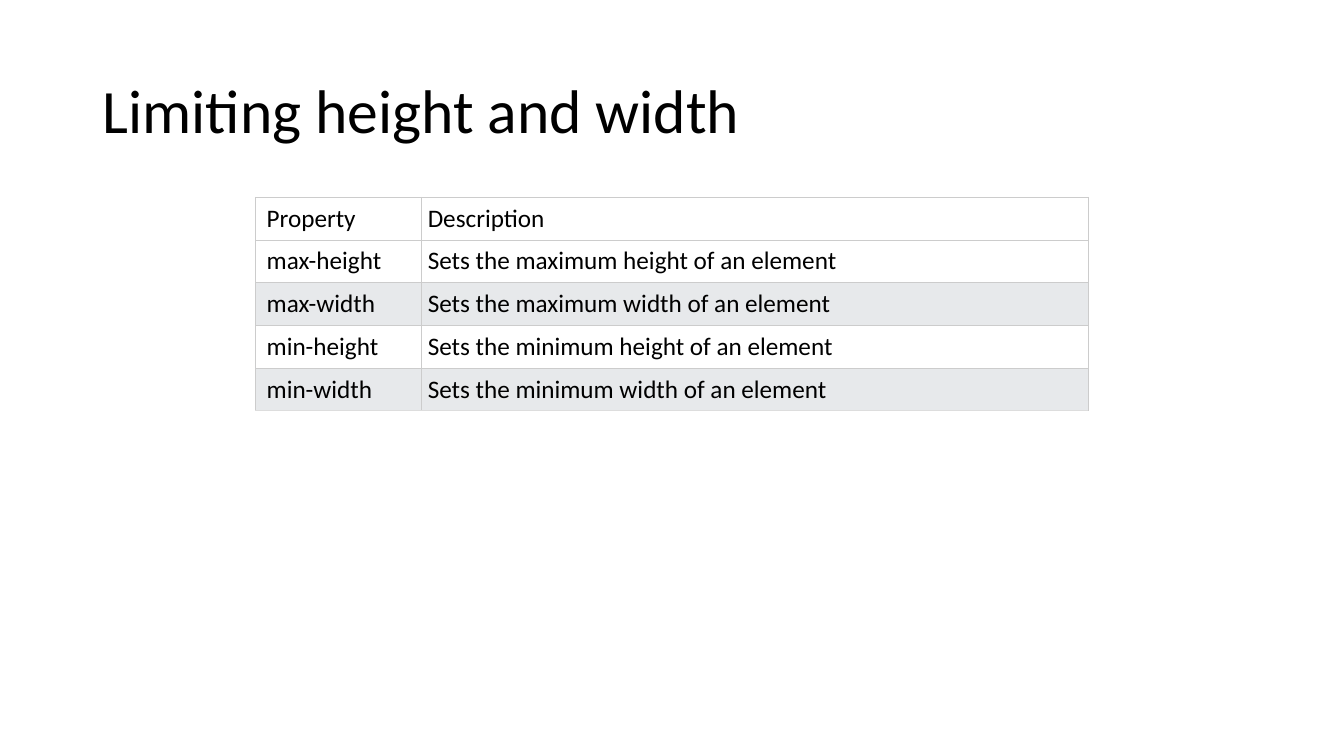
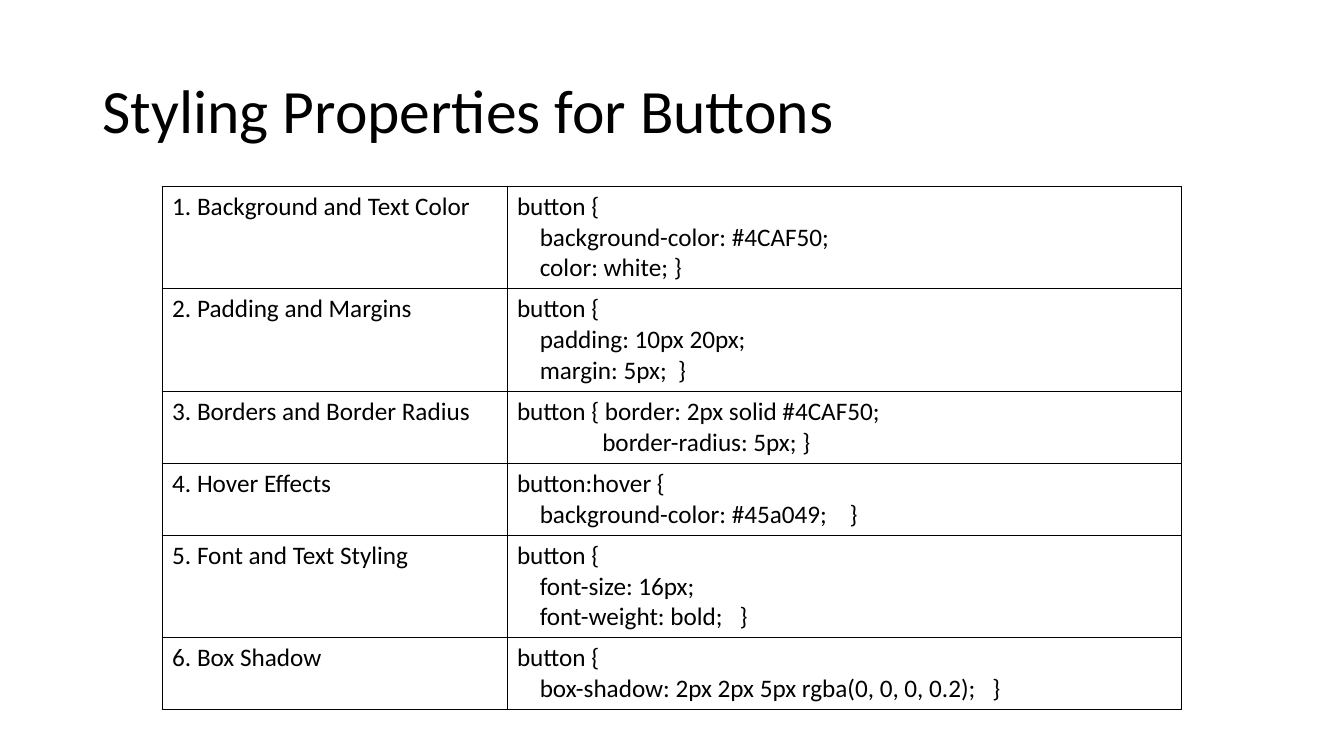
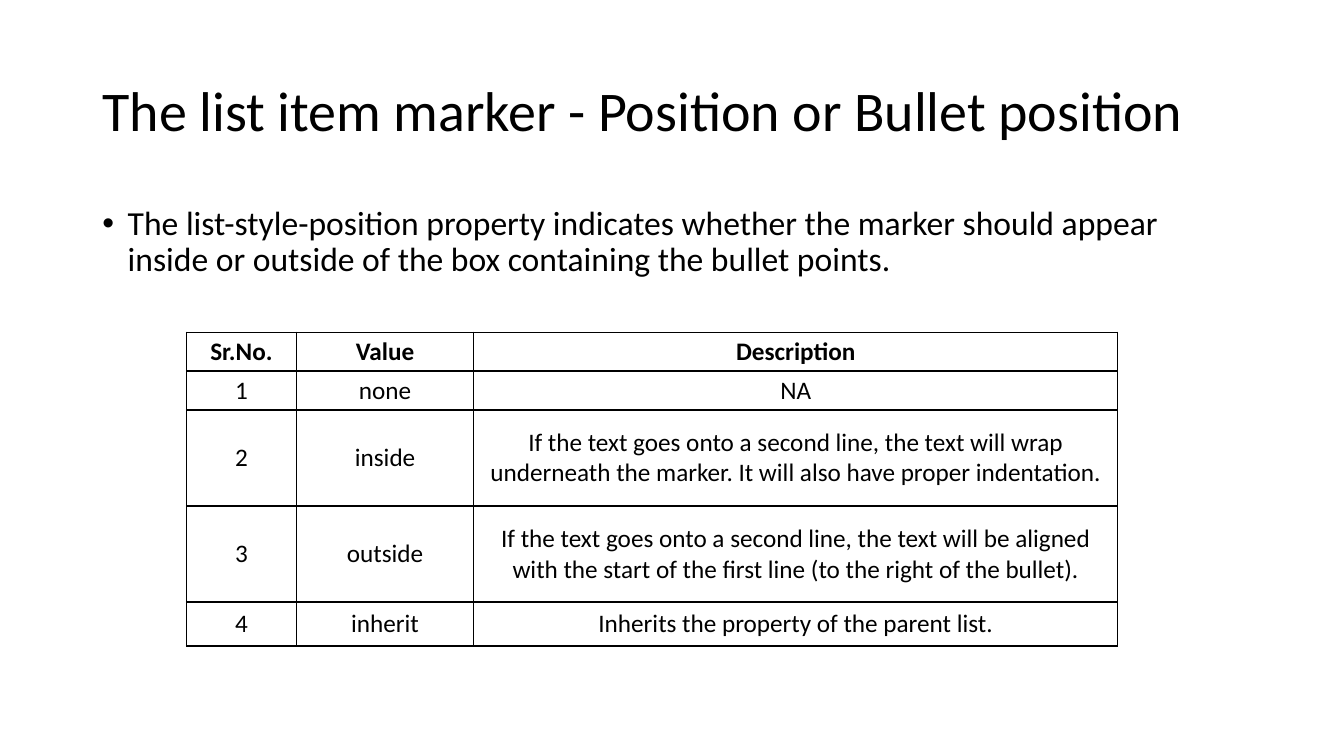
import dataclasses
import typing

import lxml.etree
import pptx
import pptx.dml.color
import pptx.enum.text
import pptx.oxml.ns
import pptx.presentation
import pptx.slide
import pptx.table
import pptx.text.text
import pptx.util

Cm = pptx.util.Cm
Pt = pptx.util.Pt
Align = pptx.enum.text.PP_ALIGN
Anchor = pptx.enum.text.MSO_ANCHOR
qn = pptx.oxml.ns.qn

# Shared style
COLORS = {
    "text": "000000",
    "paper": "FFFFFF",
    "band": "E7E9EB",
    "grid": "CCCCCC",
    "grid_end": "DDDDDD",
}
FONT = "Calibri"
CONTENT_LEFT, CONTENT_WIDTH = Cm(2.33), Cm(29.21)
CELL_SIZE = 18
TITLE_BOX = {"left": CONTENT_LEFT, "top": Cm(1.01), "width": CONTENT_WIDTH, "height": Cm(3.68)}


@dataclasses.dataclass
class TableSpec:
    left: float
    top: float
    columns: list[float]
    heights: list[float]
    rows: list[tuple[str, ...]]
    margins: tuple[float, float, float, float] = (0.25, 0.13, 0.25, 0.13)
    first_margin: float = 0.25
    border: str = "text"
    last_border: str = "text"
    border_width: float = 1
    banded: bool = False
    bold_header: bool = False
    align: Align = Align.LEFT
    anchor: Anchor = Anchor.TOP


@dataclasses.dataclass
class SlideSpec:
    title: str
    table: TableSpec
    title_size: int = 44
    bullet: str = ""


def set_values(target: typing.Any, values: dict[str, typing.Any]) -> None:
    for name, value in values.items():
        setattr(target, name, value)


def color(name: str) -> pptx.dml.color.RGBColor:
    return pptx.dml.color.RGBColor.from_string(COLORS[name])


def format_paragraph(
    paragraph: pptx.text.text._Paragraph, size: int, bold: bool = False, **layout: typing.Any
) -> None:
    set_values(paragraph, layout)
    for run in paragraph.runs:
        set_values(run.font, {"name": FONT, "size": Pt(size), "bold": bold})
        run.font.color.rgb = color("text")


# Title and bullet text
def add_title(slide: pptx.slide.Slide, text: str, size: int) -> None:
    title = slide.shapes.title
    set_values(title, TITLE_BOX)
    frame = title.text_frame
    frame.text = text
    set_values(frame, {
        "word_wrap": True,
        "auto_size": pptx.enum.text.MSO_AUTO_SIZE.NONE,
        "vertical_anchor": Anchor.MIDDLE,
    })
    format_paragraph(frame.paragraphs[0], size, alignment=Align.LEFT, line_spacing=0.9)


def add_bullet(slide: pptx.slide.Slide, text: str) -> None:
    box = slide.shapes.add_textbox(CONTENT_LEFT, Cm(5.08), CONTENT_WIDTH, Cm(2.2))
    frame = box.text_frame
    frame.word_wrap = True
    frame.text = text
    paragraph = frame.paragraphs[0]
    properties = paragraph._p.get_or_add_pPr()
    properties.set("marL", str(Cm(0.64)))
    properties.set("indent", str(-Cm(0.64)))
    lxml.etree.SubElement(properties, qn("a:buFont"), typeface="Arial")
    lxml.etree.SubElement(properties, qn("a:buChar"), char="•")
    format_paragraph(paragraph, 24, line_spacing=0.9)


# Tables
def set_borders(cell: pptx.table._Cell, width: float, side: str, bottom: str) -> None:
    properties = cell._tc.get_or_add_tcPr()
    for position, edge in enumerate("LRTB"):
        line = lxml.etree.Element(qn(f"a:ln{edge}"), w=str(Pt(width)))
        fill = lxml.etree.SubElement(line, qn("a:solidFill"))
        name = bottom if edge == "B" else side
        lxml.etree.SubElement(fill, qn("a:srgbClr"), val=COLORS[name])
        properties.insert(position, line)


def add_table(slide: pptx.slide.Slide, spec: TableSpec) -> None:
    table = slide.shapes.add_table(
        len(spec.rows), len(spec.columns), Cm(spec.left), Cm(spec.top),
        Cm(sum(spec.columns)), Cm(sum(spec.heights)),
    ).table
    set_values(table, {"first_row": False, "horz_banding": False})
    for column, width in zip(table.columns, spec.columns):
        column.width = Cm(width)
    for row, height in zip(table.rows, spec.heights):
        row.height = Cm(height)

    left, top, right, bottom = spec.margins
    for row_index, texts in enumerate(spec.rows):
        shaded = spec.banded and row_index > 0 and row_index % 2 == 0
        is_last = row_index == len(spec.rows) - 1
        for column_index, text in enumerate(texts):
            cell = table.cell(row_index, column_index)
            cell.text = text
            set_values(cell, {
                "margin_left": Cm(left if column_index else spec.first_margin),
                "margin_top": Cm(top),
                "margin_right": Cm(right),
                "margin_bottom": Cm(bottom),
                "vertical_anchor": spec.anchor,
            })
            cell.fill.solid()
            cell.fill.fore_color.rgb = color("band" if shaded else "paper")
            set_borders(cell, spec.border_width, spec.border,
                        spec.last_border if is_last else spec.border)
            bold = spec.bold_header and row_index == 0
            for paragraph in cell.text_frame.paragraphs:
                format_paragraph(paragraph, CELL_SIZE, bold, alignment=spec.align)


# Slide content
THREE_LINES, TWO_LINES = 2.58, 1.81

SLIDES = [
    SlideSpec(
        title="Limiting height and width",
        table=TableSpec(
            left=6.44, top=4.97, columns=[4.19, 16.79], heights=[1.06] * 5,
            margins=(0.15, 0.15, 0.15, 0.15), first_margin=0.28,
            border="grid", last_border="grid_end", border_width=0.5, banded=True,
            rows=[
                ("Property", "Description"),
                ("max-height", "Sets the maximum height of an element"),
                ("max-width", "Sets the maximum width of an element"),
                ("min-height", "Sets the minimum height of an element"),
                ("min-width", "Sets the minimum width of an element"),
            ],
        ),
    ),
    SlideSpec(
        title="Styling Properties for Buttons",
        table=TableSpec(
            left=4.09, top=4.69, columns=[8.69, 16.99],
            heights=[THREE_LINES, THREE_LINES, TWO_LINES, TWO_LINES, THREE_LINES, TWO_LINES],
            rows=[
                ("1. Background and Text Color",
                 "button {\n    background-color: #4CAF50;\n    color: white; }"),
                ("2. Padding and Margins",
                 "button {\n    padding: 10px 20px;\n    margin: 5px;  }"),
                ("3. Borders and Border Radius",
                 "button { border: 2px solid #4CAF50;\n               border-radius: 5px; }"),
                ("4. Hover Effects",
                 "button:hover {\n    background-color: #45a049;    }"),
                ("5. Font and Text Styling",
                 "button {\n    font-size: 16px;\n    font-weight: bold;   }"),
                ("6. Box Shadow",
                 "button {\n    box-shadow: 2px 2px 5px rgba(0, 0, 0, 0.2);   }"),
            ],
        ),
    ),
    SlideSpec(
        title="The list item marker - Position or Bullet position",
        title_size=40,
        bullet="The list-style-position property indicates whether the marker should appear "
               "inside or outside of the box containing the bullet points.",
        table=TableSpec(
            left=4.7, top=8.37, columns=[2.77, 4.47, 16.23],
            heights=[0.98, 0.98, 2.42, 2.42, 1.11],
            margins=(0.1, 0.1, 0.1, 0.1), first_margin=0.1,
            bold_header=True, align=Align.CENTER, anchor=Anchor.MIDDLE,
            rows=[
                ("Sr.No.", "Value", "Description"),
                ("1", "none", "NA"),
                ("2", "inside",
                 "If the text goes onto a second line, the text will wrap underneath "
                 "the marker. It will also have proper indentation."),
                ("3", "outside",
                 "If the text goes onto a second line, the text will be aligned with "
                 "the start of the first line (to the right of the bullet)."),
                ("4", "inherit", "Inherits the property of the parent list."),
            ],
        ),
    ),
]


def add_slide(presentation: pptx.presentation.Presentation, spec: SlideSpec) -> None:
    title_only = presentation.slide_layouts.get_by_name("Title Only")
    slide = presentation.slides.add_slide(title_only)
    add_title(slide, spec.title, spec.title_size)
    if spec.bullet:
        add_bullet(slide, spec.bullet)
    add_table(slide, spec.table)


def main() -> None:
    presentation = pptx.Presentation()
    set_values(presentation, {"slide_width": Cm(33.87), "slide_height": Cm(19.05)})
    for spec in SLIDES:
        add_slide(presentation, spec)
    presentation.save("out.pptx")


if __name__ == "__main__":
    main()
